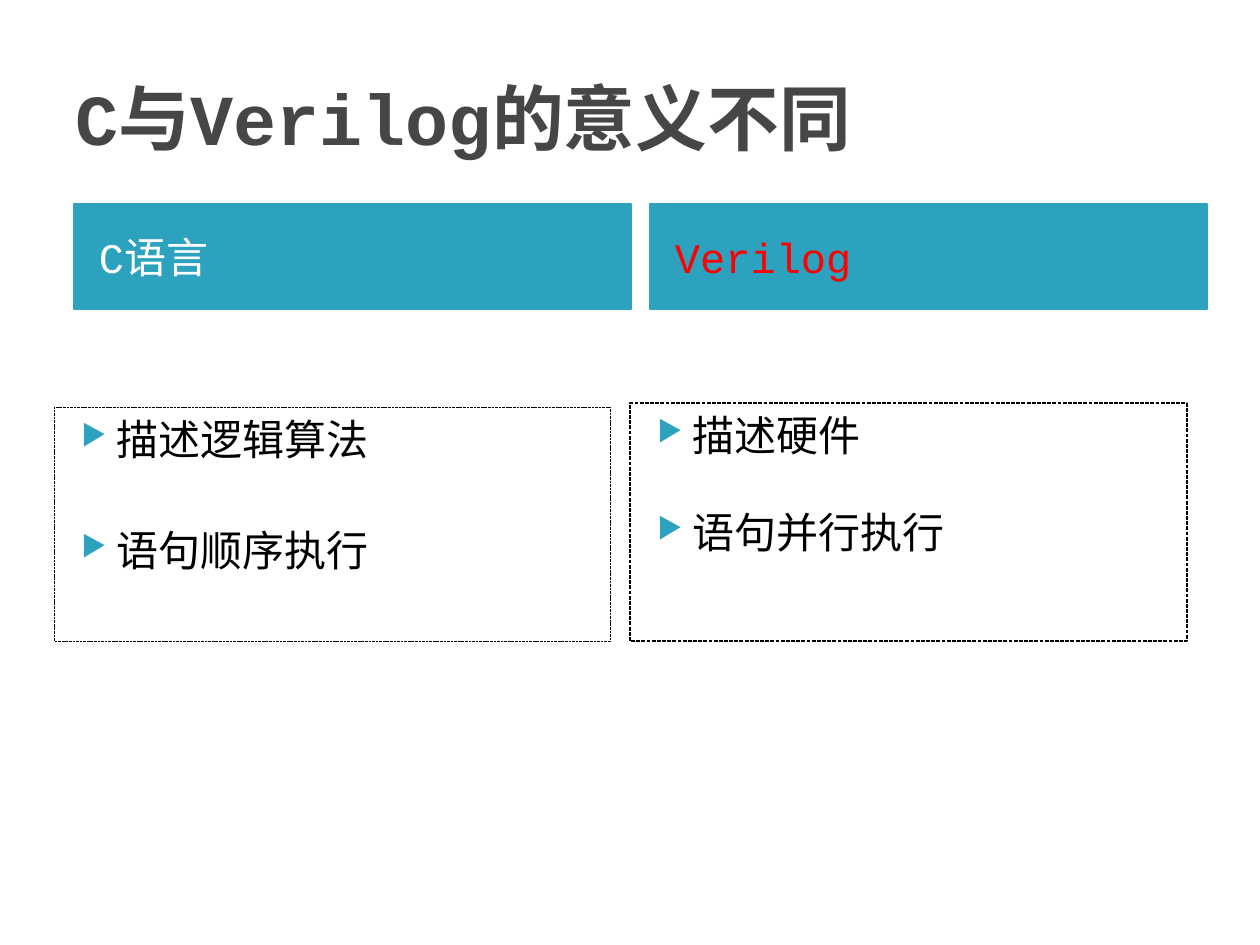
from lxml.etree import SubElement
from pptx import Presentation
from pptx.dml.color import RGBColor
from pptx.enum.dml import MSO_LINE_DASH_STYLE as Dash
from pptx.enum.shapes import MSO_SHAPE as Shape
from pptx.enum.text import MSO_ANCHOR as Anchor, MSO_AUTO_SIZE as AutoSize, PP_ALIGN as Align
from pptx.oxml.ns import qn
from pptx.util import Emu, Pt

FONT = "Courier New"
TEAL = RGBColor(0x2D, 0xA2, 0xBF)
GRAY = RGBColor(0x46, 0x46, 0x46)
WHITE = RGBColor(0xFF, 0xFF, 0xFF)
RED = RGBColor(0xFF, 0x00, 0x00)
BLACK = RGBColor(0x00, 0x00, 0x00)


def px(length):
    return Emu(round(length * 914400 / 126))


def style(paragraph, size, color, bold=False):
    paragraph.alignment = Align.LEFT
    font = paragraph.font
    font.name, font.size, font.bold = FONT, Pt(size), bold
    font.color.rgb = color


def add_triangle_bullet(paragraph):
    properties = paragraph._p.get_or_add_pPr()
    properties.set("marL", str(px(50)))
    properties.set("indent", str(px(-35)))
    bullet_color = SubElement(properties, qn("a:buClr"))
    SubElement(bullet_color, qn("a:srgbClr"), val=str(TEAL))
    SubElement(properties, qn("a:buSzPct"), val="68000")
    SubElement(properties, qn("a:buChar"), char="▶")


def add_title(slide, box, text):
    title = slide.shapes.title
    title.left, title.top, title.width, title.height = map(px, box)
    frame = title.text_frame
    frame.text = text
    frame.auto_size = AutoSize.NONE
    frame.vertical_anchor = Anchor.MIDDLE
    style(frame.paragraphs[0], 41, GRAY, bold=True)


def add_panel(slide, box):
    panel = slide.shapes.add_shape(Shape.RECTANGLE, *map(px, box))
    panel.shadow.inherit = False
    panel.text_frame.word_wrap = True
    return panel


def add_heading(slide, box, text, color):
    heading = add_panel(slide, box)
    heading.fill.solid()
    heading.fill.fore_color.rgb = TEAL
    heading.line.color.rgb = TEAL
    heading.line.width = Pt(0.75)
    frame = heading.text_frame
    frame.margin_left = px(25)
    frame.vertical_anchor = Anchor.MIDDLE
    frame.text = text
    style(frame.paragraphs[0], 24, color)


def add_points(slide, box, points, gap, line_width):
    panel = add_panel(slide, box)
    panel.fill.background()
    panel.line.color.rgb = BLACK
    panel.line.width = Pt(line_width)
    panel.line.dash_style = Dash.SQUARE_DOT
    frame = panel.text_frame
    frame.vertical_anchor = Anchor.TOP
    frame.text = "\n".join(points)
    for index, paragraph in enumerate(frame.paragraphs):
        add_triangle_bullet(paragraph)
        style(paragraph, 24, BLACK)
        if index:
            paragraph.space_before = Pt(gap)


def build_slide(presentation):
    slide = presentation.slides.add_slide(presentation.slide_layouts[5])
    add_title(slide, (63, 38, 1134, 157), "C与Verilog的意义不同")

    column_width, column_step = 557, 576
    columns = [
        ("C语言", WHITE, ["描述逻辑算法", "语句顺序执行"], 407, 35, 0.5),
        ("Verilog", RED, ["描述硬件", "语句并行执行"], 403, 27, 0.75),
    ]
    for index, (heading, color, points, top, gap, line_width) in enumerate(columns):
        offset = index * column_step
        add_heading(slide, (74 + offset, 204, column_width, 105), heading, color)
        add_points(slide, (54 + offset, top, column_width, 641 - top), points, gap, line_width)


def main():
    presentation = Presentation()
    presentation.slide_width, presentation.slide_height = px(1260), px(945)
    build_slide(presentation)
    presentation.save("out.pptx")


if __name__ == "__main__":
    main()
